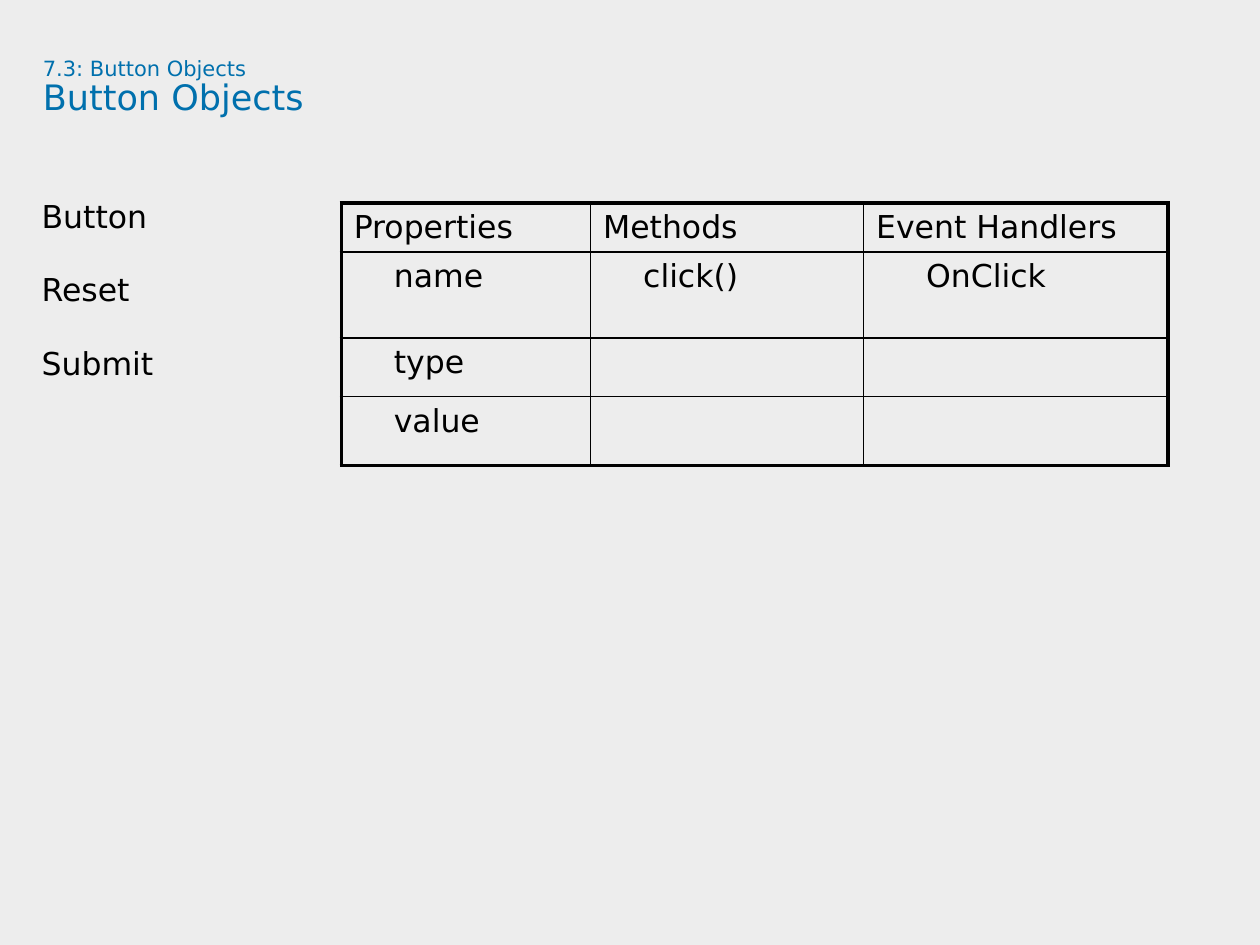
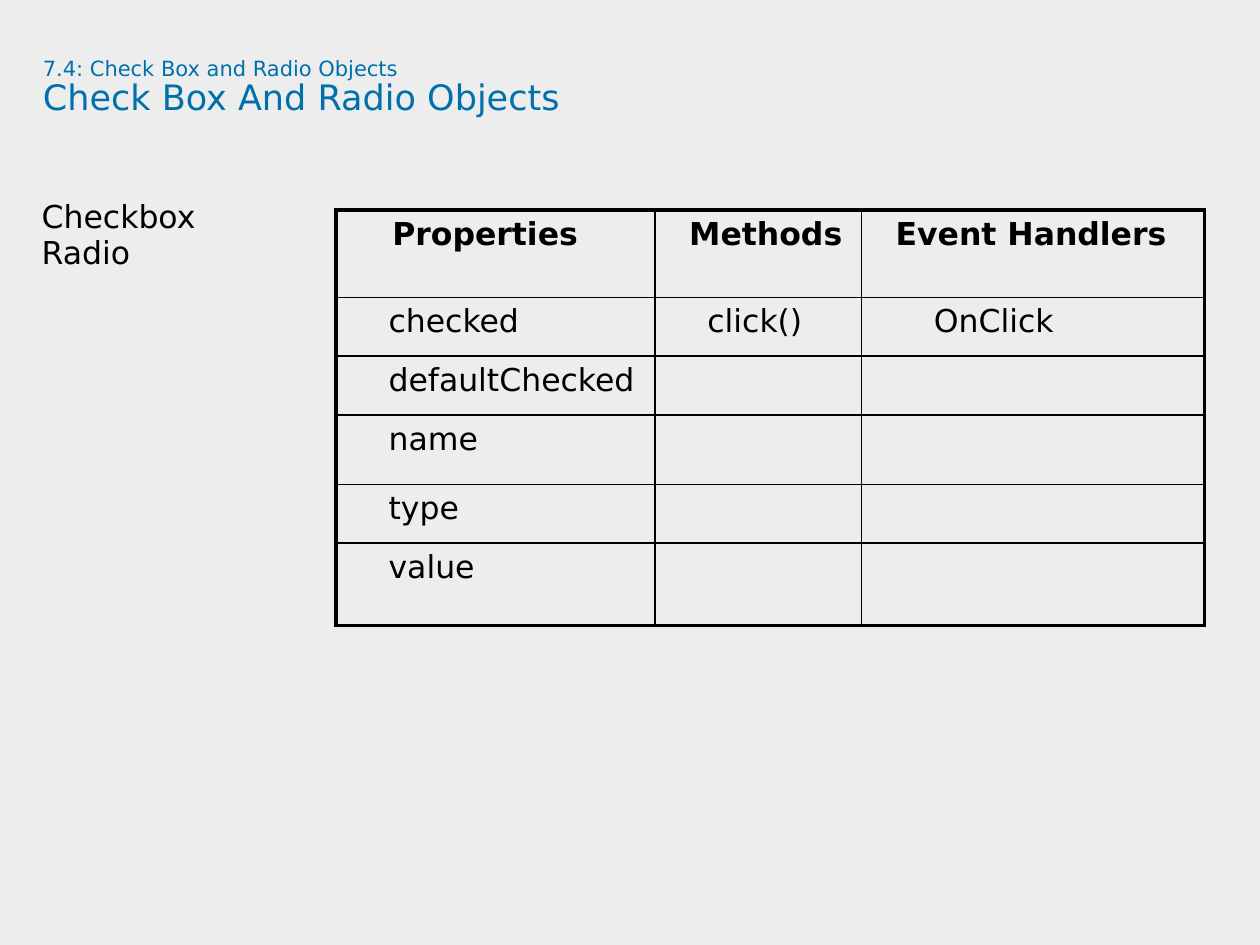
from lxml import etree
from pptx import Presentation
from pptx import util as u
from pptx.dml.color import RGBColor
from pptx.enum import text
from pptx.oxml import ns

Pt = u.Pt
COLORS = {"background": "EDEDED", "title": "0070AD", "ink": "000000"}
FONT = "DejaVu Sans"
TITLE_BOX = (24.5, 33.1, 654.5, 67.7)
BODY_BOX = (23.8, 117.4, 696.2, 365.8)
LINE, GAP = 16.5, 4.5  # list line height and space after
OUTER, INNER = 2.25, 1  # table border widths
CELL_PAD = 7.2
HEADERS = ["Properties", "Methods", "Event Handlers"]


def rgb(name):
    return RGBColor.from_string(COLORS[name])


def set_font(font, size, color, bold=False):
    font.name, font.size, font.bold = FONT, Pt(size), bold
    font.color.rgb = rgb(color)


def place(sp, box):
    """Move a placeholder to box and prepare its empty text frame."""
    sp.left, sp.top, sp.width, sp.height = map(Pt, box)
    tf = sp.text_frame
    tf.margin_left = tf.margin_top = tf.margin_right = tf.margin_bottom = 0
    tf.word_wrap = True
    tf.auto_size = text.MSO_AUTO_SIZE.NONE
    tf.vertical_anchor = text.MSO_ANCHOR.TOP
    return tf


def add_title(s, box, section, heading):
    p = place(s.shapes.title, box).paragraphs[0]
    p.alignment = text.PP_ALIGN.LEFT
    p.line_spacing = 0.9
    set_font(p.font, 12, "title")
    p.add_run().text = section
    p.add_line_break()
    r = p.add_run()
    r.text = heading
    r.font.size = Pt(20)


def add_list(s, box, items, gap):
    tf = place(s.placeholders[1], box)
    tf.text = "\n".join(items)
    for p in tf.paragraphs:
        p.line_spacing, p.space_before, p.space_after = Pt(LINE), Pt(0), Pt(gap)
        set_font(p.font, 18, "ink")
        pPr = p._p.get_or_add_pPr()
        pPr.set("marL", "0")
        pPr.set("indent", "0")
        pPr.insert_element_before(pPr.makeelement(ns.qn("a:buNone")),
                                  "a:tabLst", "a:defRPr", "a:extLst")


def set_borders(cell, widths):
    """Draw the left, right, top and bottom borders, in that order."""
    tcPr = cell._tc.get_or_add_tcPr()
    for side, width in zip("LRTB", widths):
        ln = etree.SubElement(tcPr, ns.qn(f"a:ln{side}"), w=str(Pt(width)))
        fill = etree.SubElement(ln, ns.qn("a:solidFill"))
        etree.SubElement(fill, ns.qn("a:srgbClr"), val=COLORS["ink"])


def add_members_table(s, origin, widths, heights, properties, event_indent,
                      header_indents, bold_header):
    n_rows, n_cols = len(heights), len(widths)
    box = (*origin, sum(widths), sum(heights))
    tbl = s.shapes.add_table(n_rows, n_cols, *map(Pt, box)).table
    tbl.first_row = tbl.horz_banding = False
    for col, width in zip(tbl.columns, widths):
        col.width = Pt(width)
    for row, height in zip(tbl.rows, heights):
        row.height = Pt(height)

    rows = [HEADERS, [properties[0], "click()", "OnClick"]]
    rows += [[name, "", ""] for name in properties[1:]]
    for i, values in enumerate(rows):
        indents = (22.9, 22.9, event_indent) if i else header_indents
        for j, value in enumerate(values):
            cell = tbl.cell(i, j)
            edges = (j == 0, j == n_cols - 1, i == 0, i == n_rows - 1)
            set_borders(cell, [OUTER if edge else INNER for edge in edges])
            cell.fill.background()
            cell.margin_left = Pt(CELL_PAD + indents[j])
            cell.text = value
            set_font(cell.text_frame.paragraphs[0].font, 18, "ink",
                     bold_header and i == 0)


def add_object_slide(prs, section, heading, objects, gap, table):
    s = prs.slides.add_slide(prs.slide_layouts[1])
    add_title(s, TITLE_BOX, section, heading)
    add_list(s, BODY_BOX, objects, gap)
    add_members_table(s, **table)


def main():
    prs = Presentation()
    prs.slide_width, prs.slide_height = Pt(720), Pt(540)
    fill = prs.slide_master.background.fill
    fill.solid()
    fill.fore_color.rgb = rgb("background")

    # Button objects, one blank line apart
    add_object_slide(
        prs, "7.3: Button Objects", "Button Objects",
        ["Button", "Reset", "Submit"], LINE + 2 * GAP,
        dict(origin=(195, 116), widths=(142.5, 156, 174),
             heights=(28, 49, 33.6, 39.4),
             properties=["name", "type", "value"], event_indent=28.6,
             header_indents=(0, 0, 0), bold_header=False))

    # Check box and radio objects
    add_object_slide(
        prs, "7.4: Check Box and Radio Objects", "Check Box And Radio Objects",
        ["Checkbox", "Radio"], GAP,
        dict(origin=(192, 120), widths=(182.2, 118, 196),
             heights=(50, 33.6, 33.6, 39.6, 33.6, 47),
             properties=["checked", "defaultChecked", "name", "type", "value"],
             event_indent=34.3, header_indents=(25, 12.5, 12.5),
             bold_header=True))

    prs.save("out.pptx")


if __name__ == "__main__":
    main()
